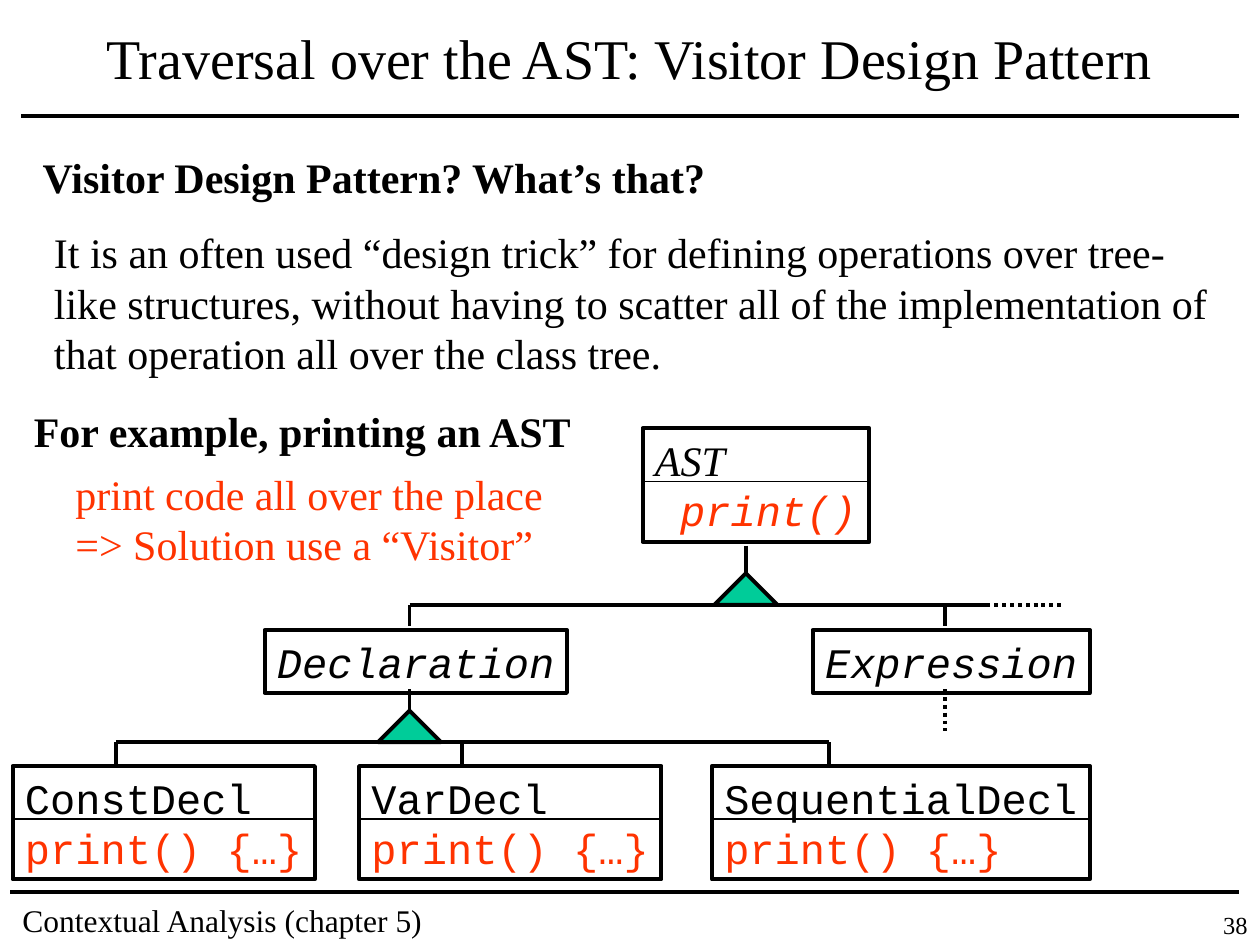
"""Build the slide that introduces the Visitor design pattern with an AST class tree."""
from lxml.etree import SubElement
from pptx import Presentation
from pptx.dml.color import RGBColor
from pptx.enum.dml import MSO_LINE_DASH_STYLE as Dash
from pptx.enum.shapes import MSO_CONNECTOR as Conn, MSO_SHAPE as Shape
from pptx.enum.text import MSO_ANCHOR as Anchor, PP_ALIGN as Align
from pptx.oxml.ns import qn
from pptx.util import Inches, Pt

BLACK = RGBColor(0x00, 0x00, 0x00)
RED = RGBColor(0xFF, 0x33, 0x00)
GREEN = RGBColor(0x00, 0xCC, 0x99)
SERIF, MONO = "Times New Roman", "Courier New"
W, H = 10, 7.5
THICK, THIN = 2.25, 0.75
ROW_AST, ROW_KINDS, ROW_DECLS = 3.4, 5, 6.08
ONE_LINE, TWO_LINES = 0.5, 0.9
TRI_W, TRI_H = 0.5, 0.25

BODY = {"size": 24, "font": SERIF, "color": BLACK}
BOLD = {**BODY, "bold": True}
NOTE = {**BODY, "color": RED}
CODE = {**BODY, "font": MONO}
ABSTRACT = {**CODE, "italic": True}
CALL = {**CODE, "color": RED}
CENTER = {"align": Align.CENTER, "anchor": Anchor.MIDDLE}

TEXTS = [
    ((0.25, 0.08, 9.5, 0.75),
     [[("Traversal over the AST: Visitor Design Pattern", {**BODY, "size": 32})]], CENTER),
    ((0.24, 1.15, 5.49, 0.5), [[("Visitor Design Pattern? What’s that?", BOLD)]], {}),
    ((0.33, 1.75, 9.42, 1.3),
     [[("It is an often used “design trick” for defining operations over tree-like "
        "structures, without having to scatter all of the implementation of that "
        "operation all over the class tree.", BODY)]], {}),
    ((0.17, 3.17, 4.49, 0.5), [[("For example, printing an AST", BOLD)]], {}),
    ((0.5, 3.67, 3.91, 0.9),
     [[("print code all over the place", NOTE)], [("=> Solution use a “Visitor”", NOTE)]], {}),
    ((0.08, 7.1, 3.83, 0.4), [[("Contextual Analysis (chapter 5)", {**BODY, "size": 18})]], {}),
    ((9.25, 7.17, 0.75, 0.33), [[("38", {**BODY, "size": 14})]], {"align": Align.RIGHT}),
]

PRINT_BODY = [("print() {…}", CALL)]
CLASSES = [
    (5.1, ROW_AST, 1.8, [[("AST", {**BODY, "italic": True})],
                         [(" ", CALL), ("print()", {**CALL, "italic": True})]]),
    (2.1, ROW_KINDS, 2.4, [[("Declaration", ABSTRACT)]]),
    (6.45, ROW_KINDS, 2.2, [[("Expression", ABSTRACT)]]),
    (0.1, ROW_DECLS, 2.4, [[("ConstDecl", CODE)], PRINT_BODY]),
    (2.85, ROW_DECLS, 2.4, [[("VarDecl", CODE)], PRINT_BODY]),
    (5.65, ROW_DECLS, 3, [[("SequentialDecl", CODE)], PRINT_BODY]),
]

TREES = [
    {"x": 5.92, "top": 4.33, "bus": 4.8, "span": (3.25, 7.83), "children": (3.25, 7.5)},
    {"x": 3.25, "top": 5.47, "bus": 5.89, "span": (0.92, 6.58), "children": (0.92, 3.67, 6.58)},
]
RULES = [(0.17, 0.92), (0.08, 7.08)]
RULE_END = 9.83
DOTTED = [(7.83, 4.8, 8.42, 4.8), (7.5, 5.47, 7.5, 5.8)]


def write(sp, paragraphs, wrap=True, align=Align.LEFT, anchor=Anchor.TOP):
    tf = sp.text_frame
    tf.word_wrap = wrap
    tf.vertical_anchor = anchor
    for i, runs in enumerate(paragraphs):
        p = tf.paragraphs[0] if i == 0 else tf.add_paragraph()
        p.alignment = align
        for text, style in runs:
            r = p.add_run()
            r.text = text
            r.font.name = style["font"]
            r.font.size = Pt(style["size"])
            r.font.color.rgb = style["color"]
            r.font.bold = style.get("bold", False)
            r.font.italic = style.get("italic", False)


def line(s, x1, y1, x2, y2, width=THICK, dash=None):
    cn = s.shapes.add_connector(Conn.STRAIGHT, *map(Inches, (x1, y1, x2, y2)))
    cn.line.color.rgb = BLACK
    cn.line.width = Pt(width)
    if dash:
        cn.line.dash_style = dash
    SubElement(cn._element.spPr, qn("a:effectLst"))


def shape(s, kind, box, fill=None):
    sp = s.shapes.add_shape(kind, *map(Inches, box))
    sp.shadow.inherit = False
    sp.line.color.rgb = BLACK
    sp.line.width = Pt(THICK)
    if fill is None:
        sp.fill.background()
    else:
        sp.fill.solid()
        sp.fill.fore_color.rgb = fill
    return sp


def class_box(s, x, y, w, paragraphs):
    split = len(paragraphs) > 1
    sp = shape(s, Shape.RECTANGLE, (x, y, w, TWO_LINES if split else ONE_LINE))
    write(sp, paragraphs, wrap=False)
    if split:
        line(s, x, y + 0.42, x + w, y + 0.42, THIN)


def tree(s, x, top, bus, span, children):
    line(s, x, top, x, bus - TRI_H + 0.03)
    shape(s, Shape.ISOSCELES_TRIANGLE, (x - TRI_W / 2, bus - TRI_H, TRI_W, TRI_H), GREEN)
    line(s, span[0], bus, span[1], bus)
    for child in children:
        line(s, child, bus, child, bus + 0.17)


def main():
    prs = Presentation()
    prs.slide_width, prs.slide_height = Inches(W), Inches(H)
    s = prs.slides.add_slide(prs.slide_layouts[6])
    for x, y in RULES:
        line(s, x, y, RULE_END, y)
    for box, paragraphs, layout in TEXTS:
        write(s.shapes.add_textbox(*map(Inches, box)), paragraphs, **layout)
    for item in CLASSES:
        class_box(s, *item)
    for item in TREES:
        tree(s, **item)
    for ends in DOTTED:
        line(s, *ends, dash=Dash.ROUND_DOT)
    prs.save("out.pptx")


if __name__ == "__main__":
    main()
